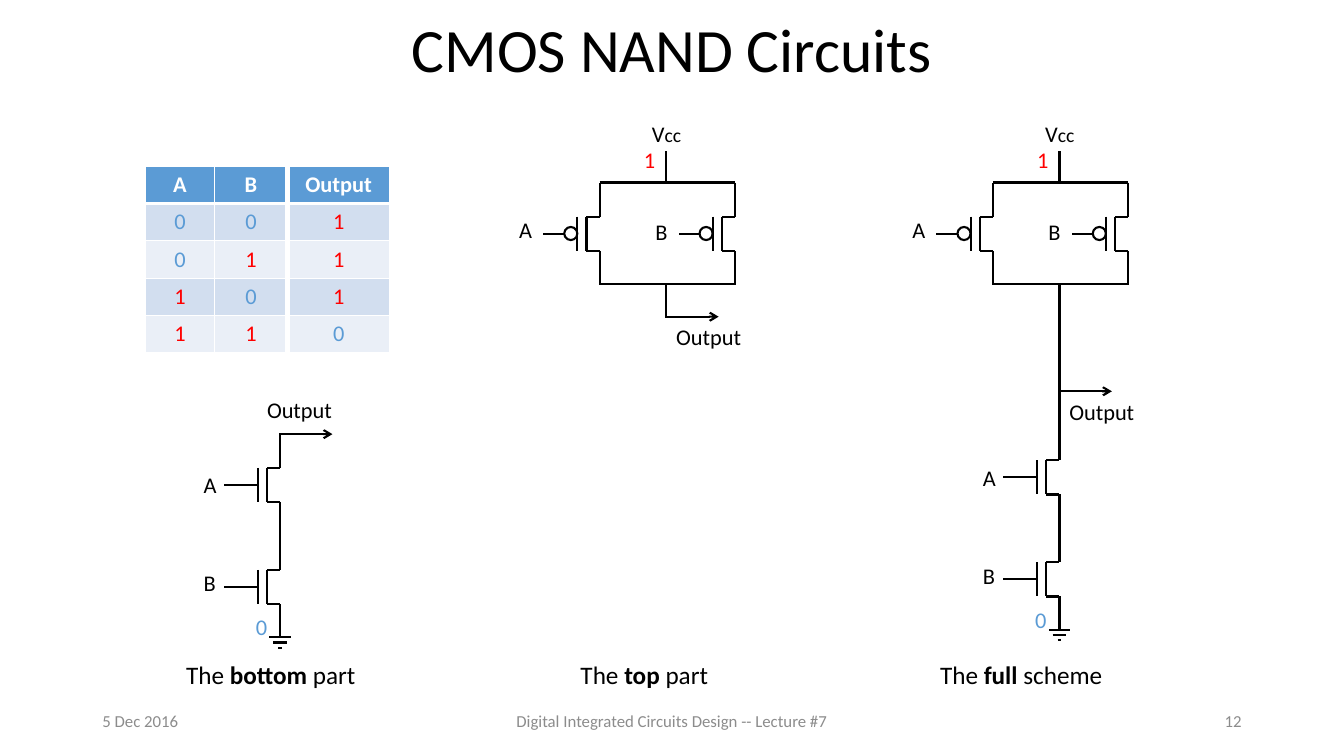
"""Build a slide on CMOS NAND circuits with a truth table and schematics."""
from lxml.etree import SubElement as Sub
from pptx import Presentation
from pptx.dml.color import RGBColor
from pptx.enum.shapes import MSO_CONNECTOR as Link, MSO_SHAPE as Form
from pptx.enum.text import MSO_ANCHOR as Anchor, MSO_AUTO_SIZE as Fit, PP_ALIGN as Align
from pptx.oxml.ns import qn
from pptx.util import Cm, Pt

BLACK = RGBColor(0x00, 0x00, 0x00)
WHITE = RGBColor(0xFF, 0xFF, 0xFF)
GREY = RGBColor(0x8C, 0x8C, 0x8C)
RED = RGBColor(0xFF, 0x00, 0x00)
BLUE = RGBColor(0x5B, 0x9B, 0xD5)
DARK = RGBColor(0xD2, 0xDE, 0xEF)
PALE = RGBColor(0xEA, 0xEF, 0xF7)
ROWS = [("A", "B", "Output"), "001", "011", "101", "110"]
STUB = 0.86


def style(run, size, color, bold=False):
    """Set the font of a run."""
    run.font.name = "Calibri"
    run.font.size = Pt(size)
    run.font.color.rgb = color
    run.font.bold = bold


def frame(art, x, y, w, h, text, size, color, align):
    """Add a middle-anchored text block of fixed size."""
    body = art.add_textbox(Cm(x), Cm(y), Cm(w), Cm(h)).text_frame
    body.word_wrap = True
    body.vertical_anchor = Anchor.MIDDLE
    line = body.paragraphs[0]
    line.text = text
    line.alignment = align
    style(line.runs[0], size, color)
    return line


def label(art, x, y, w, runs, size=16, color=BLACK, h=0.94, align=Align.LEFT):
    """Add an unwrapped label from (text, size, bold) runs or a plain text."""
    body = art.add_textbox(Cm(x), Cm(y), Cm(w), Cm(h)).text_frame
    body.word_wrap = False
    body.auto_size = Fit.SHAPE_TO_FIT_TEXT
    line = body.paragraphs[0]
    line.alignment = align
    for text, points, bold in [(runs, size, False)] if isinstance(runs, str) else runs:
        run = line.add_run()
        run.text = text
        style(run, points, color, bold)


def wire(art, x1, y1, x2, y2, arrow=False):
    """Add a straight black line, with an arrowhead at its end if asked."""
    link = art.add_connector(Link.STRAIGHT, Cm(x1), Cm(y1), Cm(x2), Cm(y2))
    link.line.width = Pt(1.5)
    link.line.color.rgb = BLACK
    if arrow:
        Sub(link.line._get_or_add_ln(), qn("a:tailEnd"), type="arrow")
    Sub(link._element.spPr, qn("a:effectLst"))


def gate(art, x, y, rise=STUB, ring=False):
    """Draw a transistor whose rail is at x and whose channel starts at y."""
    end = y + STUB
    wire(art, x - 0.33, y, x - 0.33, end)
    wire(art, x - 0.33, y, x, y)
    wire(art, x - 0.33, end, x, end)
    wire(art, x, y - rise, x, y)
    wire(art, x, end, x, end + STUB)
    wire(art, x - 0.56, y, x - 0.56, end)
    wire(art, x - 0.56, y + 0.43, x - 1.42, y + 0.43)
    if ring:
        dot = art.add_shape(Form.OVAL, Cm(x - 0.89), Cm(y + 0.26), Cm(0.33), Cm(0.33))
        dot.shadow.inherit = False
        dot.fill.solid()
        dot.fill.fore_color.rgb = WHITE
        dot.line.color.rgb = BLACK
        dot.line.width = Pt(1.5)


def output(art, x, y, dx, dy):
    """Draw the output arrow and its label, shifted by dx and dy."""
    wire(art, x - 0.02, y, x + 1.32, y, arrow=True)
    label(art, x + dx, y + dy, 2.16, "Output")


def upper(art, x, out):
    """Draw the parallel pull-up pair centred on x with its output at out."""
    left, right = x - 1.68, x + 1.73
    for name, rail, y in (("A", left, 5.33), ("B", right, 5.38)):
        gate(art, rail, 5.46, ring=True)
        label(art, rail - 2.3, y, 0.85, name, align=Align.RIGHT)
    for y in (4.6, 7.15):
        wire(art, left, y, right, y)
    wire(art, x, 3.81, x, 4.6)
    wire(art, x, 7.15, x, out)
    label(art, x - 0.61, 2.9, 1.24, [("V", 16, False), ("cc", 14, False)])
    label(art, x - 0.81, 3.56, 0.81, "1", color=RED)
    output(art, x, out, 0, 0.05)


def lower(art, x, y, rise):
    """Draw the series pull-down pair on rail x with its first channel at y."""
    base = y + 2.57
    gate(art, x, y, rise)
    gate(art, x, base)
    label(art, x - 2.18, y - 0.03, 0.84, "A")
    label(art, x - 2.18, y + 2.43, 0.86, "B")
    for step, half in enumerate((0.27, 0.17, 0.05)):
        level = base + 1.7 + 0.13 * step
        wire(art, x - half, level, x + half, level)
    label(art, x - 0.86, base + 0.97, 0.81, "0", color=BLUE)


def edge(cell, side, width):
    """Give one side of a cell a white border."""
    line = Sub(cell._tc.get_or_add_tcPr(), qn(f"a:ln{side}"), w=str(Pt(width)))
    Sub(Sub(line, qn("a:solidFill")), qn("a:srgbClr"), val=str(WHITE))


def truth(art):
    """Add the truth table with its output column set apart."""
    table = art.add_table(5, 3, Cm(3.66), Cm(4.19), Cm(6.17), Cm(4.65)).table
    for col, width in zip(table.columns, (1.75, 1.83, 2.59)):
        col.width = Cm(width)
    for i, row in enumerate(ROWS):
        table.rows[i].height = Cm(0.94)
        for j, text in enumerate(row):
            cell = table.cell(i, j)
            edge(cell, "L", 4.5 if j == 2 else 1)
            edge(cell, "R", 4.5 if j == 1 else 1)
            edge(cell, "T", 3 if i == 1 else 1)
            edge(cell, "B", 3 if i == 0 else 1)
            cell.fill.solid()
            cell.fill.fore_color.rgb = BLUE if i == 0 else DARK if i % 2 else PALE
            cell.vertical_anchor = Anchor.MIDDLE
            line = cell.text_frame.paragraphs[0]
            line.text = text
            line.alignment = Align.CENTER
            color = {"0": BLUE, "1": RED}.get(text, WHITE)
            style(line.runs[0], 16, color, i == 0)


def main():
    """Build and save the slide."""
    deck = Presentation()
    deck.slide_width, deck.slide_height = Cm(33.87), Cm(19.05)
    art = deck.slides.add_slide(deck.slide_layouts[6]).shapes
    title = frame(art, 2.33, 0, 29.21, 2.64, "CMOS NAND Circuits", 44, BLACK, Align.CENTER)
    title.line_spacing = 0.9
    for x, w, text, align in (
        (2.33, 7.62, "5 Dec 2016", Align.LEFT),
        (11.22, 11.43, "Digital Integrated Circuits Design -- Lecture #7", Align.CENTER),
        (23.92, 7.62, "12", Align.RIGHT),
    ):
        frame(art, x, 17.66, w, 1.01, text, 12, GREY, align)
    truth(art)

    down = art.add_group_shape().shapes
    lower(down, 7.06, 11.79, STUB)
    output(down, 7.06, 10.94, -0.58, -1.09)
    upper(art.add_group_shape().shapes, 16.79, 7.98)
    full = art.add_group_shape().shapes
    upper(full, 26.7, 9.86)
    lower(full, 26.7, 11.6, 1.74)

    for x, w, key, rest in (
        (4.44, 4.85, "bottom ", "part"),
        (14.38, 3.76, "top ", "part"),
        (23.44, 4.65, "full ", "scheme"),
    ):
        runs = [("The ", 18, False), (key, 18, True), (rest, 18, False)]
        label(art, x, 16.48, w, runs, h=1.03)
    deck.save("out.pptx")


if __name__ == "__main__":
    main()
